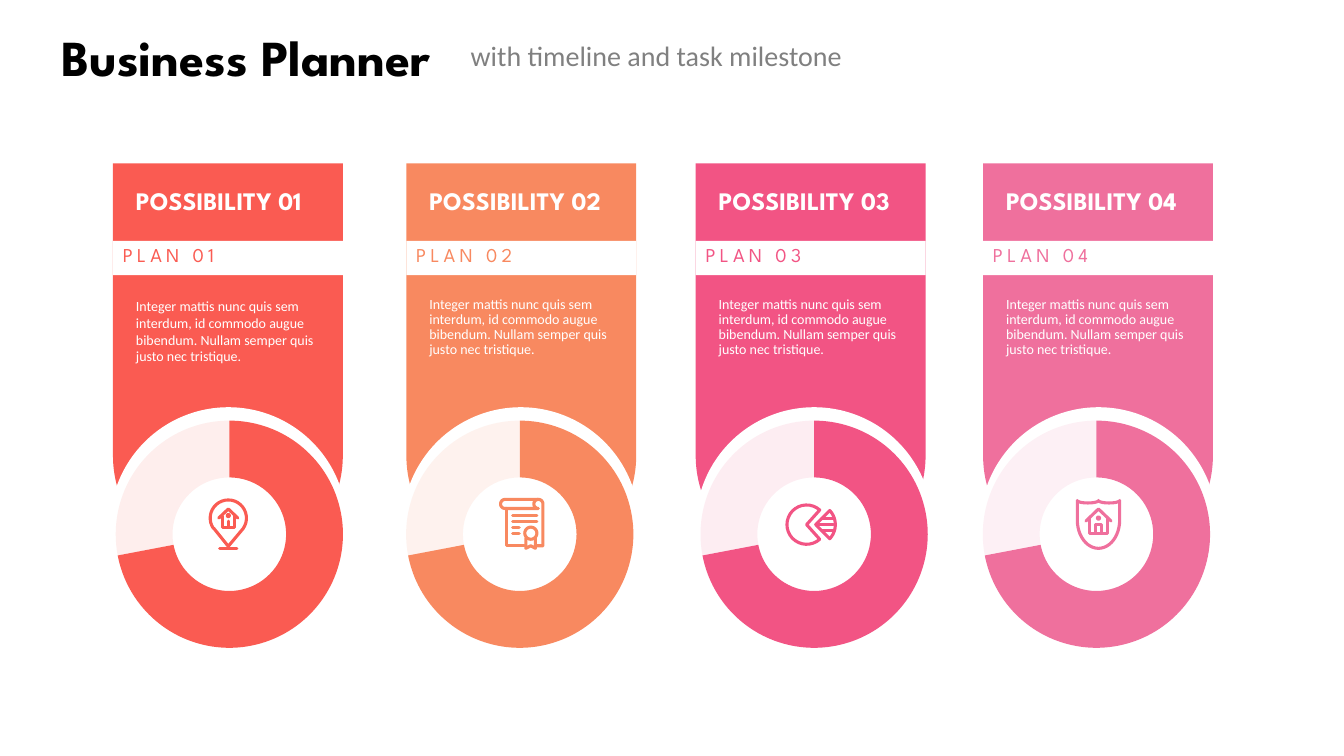
from math import cos, radians, sin

from lxml import etree
from pptx import Presentation
from pptx.chart.data import CategoryChartData
from pptx.dml.color import RGBColor
from pptx.enum.chart import XL_CHART_TYPE
from pptx.enum.shapes import MSO_SHAPE
from pptx.enum.text import MSO_ANCHOR, PP_ALIGN
from pptx.oxml.ns import qn
from pptx.util import Inches, Pt

DOUGHNUT = XL_CHART_TYPE.DOUGHNUT
RECTANGLE = MSO_SHAPE.RECTANGLE
ROUNDED_PANEL = MSO_SHAPE.ROUND_2_SAME_RECTANGLE
OVAL = MSO_SHAPE.OVAL
TOP, MIDDLE = MSO_ANCHOR.TOP, MSO_ANCHOR.MIDDLE
LEFT, CENTER = PP_ALIGN.LEFT, PP_ALIGN.CENTER

WHITE = "FFFFFF"
HEADING_FONT = "League Spartan"
BODY_FONT = "Calibri"
BODY = ("Integer mattis nunc quis sem interdum, id commodo augue bibendum. "
        "Nullam semper quis justo nec tristique.")


def color(value):
    return RGBColor.from_string(value)


def arc(x, y, radius_x, radius_y, start, end):
    steps = 24
    angles = [radians(start + (end - start) * i / steps) for i in range(steps + 1)]
    return [(x + radius_x * cos(a), y + radius_y * sin(a)) for a in angles]


def dot(x, y):
    return arc(x, y, 0.01, 0.01, 0, 360)


def write_text(shape, text, size, fill, font=BODY_FONT, bold=False, align=LEFT,
               anchor=MIDDLE, line_spacing=None, tracking=None):
    frame = shape.text_frame
    frame.word_wrap = True
    frame.vertical_anchor = anchor
    paragraph = frame.paragraphs[0]
    paragraph.alignment = align
    if line_spacing:
        paragraph.line_spacing = line_spacing
    run = paragraph.add_run()
    run.text = text
    run.font.name = font
    run.font.size = Pt(size)
    run.font.bold = bold
    run.font.color.rgb = color(fill)
    if tracking:
        run.font._element.set("spc", str(tracking * 100))


PIN = [
    arc(0.195, 0.2, 0.18, 0.18, 145, 395) + [(0.195, 0.48), (0.05, 0.3)],
    [(0.11, 0.5), (0.28, 0.5)],
    [(0.1, 0.2), (0.195, 0.11), (0.29, 0.2)],
    [(0.135, 0.18), (0.135, 0.295), (0.255, 0.295), (0.255, 0.18)],
    [(0.195, 0.23), (0.195, 0.28)],
    dot(0.195, 0.175),
]
CERTIFICATE = [
    arc(0.06, 0.06, 0.045, 0.045, 90, 270)
    + arc(0.39, 0.06, 0.045, 0.045, 270, 360) + [(0.435, 0.475), (0.37, 0.475)],
    [(0.25, 0.475), (0.075, 0.475), (0.075, 0.105)],
    [(0.06, 0.105)] + arc(0.39, 0.06, 0.045, 0.045, 90, 270),
    arc(0.315, 0.35, 0.06, 0.06, 0, 360),
    [(0.265, 0.4), (0.265, 0.5), (0.315, 0.475), (0.36, 0.5), (0.36, 0.4)],
    *[[(0.135, y), (x, y)]
      for y, x in ((0.175, 0.375), (0.235, 0.375), (0.295, 0.2), (0.355, 0.2))],
]
PIE = [
    arc(0.22, 0.265, 0.195, 0.195, 48, 312) + [(0.22, 0.265), (0.35, 0.41)],
    [(0.31, 0.265)] + arc(0.3, 0.265, 0.205, 0.205, -43, 43) + [(0.31, 0.265)],
    *[[(x, y), (0.485, y)] for x, y in ((0.37, 0.205), (0.31, 0.265), (0.37, 0.325))],
]
SHIELD = [
    arc(0.12, 0.025, 0.105, 0.025, 180, 0) + arc(0.33, 0.025, 0.105, 0.025, 180, 0)
    + arc(0.225, 0.22, 0.21, 0.28, 0, 180) + [(0.015, 0.025)],
    [(0.1, 0.23), (0.225, 0.11), (0.35, 0.23)],
    [(0.135, 0.2), (0.135, 0.355), (0.315, 0.355), (0.315, 0.2)],
    [(0.195, 0.35), (0.195, 0.265), (0.255, 0.265), (0.255, 0.35)],
    dot(0.225, 0.2),
]

CARDS = [
    (1.12, 1.09, 1.01, 2.07, "FA5B52", PIN),
    (4.03, 3.99, 3.89, 4.95, "F88960", CERTIFICATE),
    (6.9, 6.9, 6.81, 7.78, "F25484", PIE),
    (9.75, 9.72, 9.61, 10.67, "EF709D", SHIELD),
]


class PlannerSlide:
    def __init__(self, presentation):
        self.shapes = presentation.slides.add_slide(presentation.slide_layouts[6]).shapes

    def text(self, text, left, top, width, height, **style):
        box = self.shapes.add_textbox(*map(Inches, (left, top, width, height)))
        write_text(box, text, **style)

    def shape(self, kind, left, top, width, height, fill):
        shape = self.shapes.add_shape(kind, *map(Inches, (left, top, width, height)))
        shape.shadow.inherit = False
        shape.fill.solid()
        shape.fill.fore_color.rgb = color(fill)
        shape.line.fill.background()
        return shape

    def doughnut(self, left, top, width, height, fill):
        data = CategoryChartData()
        data.categories = ["1", "2"]
        data.add_series("Series 1", (72, 28))
        chart = self.shapes.add_chart(
            DOUGHNUT, *map(Inches, (left, top, width, height)), data).chart
        chart.has_legend = False
        chart.has_title = False
        chart.font.name = BODY_FONT
        chart.font.size = Pt(10)
        chart.font.color.rgb = color("000000")
        plot = chart.plots[0]
        plot.vary_by_categories = True
        plot._element.find(qn("c:holeSize")).set("val", "75")
        for index in range(2):
            point = plot.series[0].points[index].format
            point.fill.solid()
            point.fill.fore_color.rgb = color(fill)
            point.line.fill.background()
        tint = plot.series[0]._element.findall(".//" + qn("a:srgbClr"))[-1]
        etree.SubElement(tint, qn("a:alpha")).set("val", "10000")

    def icon(self, strokes, left, top, stroke_color):
        contours = [[(Inches(left + x), Inches(top + y)) for x, y in stroke]
                    for stroke in strokes]
        builder = self.shapes.build_freeform(*contours[0][0], scale=1.0)
        builder.add_line_segments(contours[0][1:], close=False)
        for contour in contours[1:]:
            builder.move_to(*contour[0])
            builder.add_line_segments(contour[1:], close=False)
        shape = builder.convert_to_shape()
        shape.shadow.inherit = False
        shape.fill.background()
        shape.line.color.rgb = color(stroke_color)
        shape.line.width = Pt(2.2)
        shape.line._get_or_add_ln().set("cap", "rnd")

    def card(self, number, left, ring_left, chart_left, icon_left, fill, strokes):
        panel = self.shape(ROUNDED_PANEL, left, 1.62, 2.28, 4.04, fill)
        panel.rotation = 180
        panel.adjustments[0] = 0.5
        panel.adjustments[1] = 0
        self.shape(OVAL, ring_left, 4.04, 2.35, 2.35, WHITE)
        self.doughnut(chart_left, 3.74, 2.53, 3.12, fill)
        self.icon(strokes, icon_left, 4.94, fill)
        self.text(f"POSSIBILITY {number:02}", left + 0.13, 1.77, 2.02, 0.44,
                  size=18, fill=WHITE, font=HEADING_FONT, bold=True)
        first = number == 1
        self.text(BODY, left + 0.13, 2.9, 2.02, 0.77, size=10, fill=WHITE,
                  anchor=MIDDLE if first else TOP, line_spacing=None if first else 0.9)
        band = self.shape(RECTANGLE, left, 2.39, 2.28, 0.34, WHITE)
        write_text(band, f"PLAN {number:02}", 14, fill, font=HEADING_FONT,
                   anchor=TOP, line_spacing=0.9, tracking=3)


def main():
    presentation = Presentation()
    presentation.slide_width = Inches(13.33)
    presentation.slide_height = Inches(7.5)
    planner = PlannerSlide(presentation)
    planner.text("Business Planner", 0.32, 0.26, 4.24, 0.6, size=36, fill="000000",
                 font=HEADING_FONT, bold=True, align=CENTER)
    planner.text("with timeline and task milestone", 4.57, 0.33, 4.7, 0.44,
                 size=20, fill="808080")
    for number, card in enumerate(CARDS, start=1):
        planner.card(number, *card)
    presentation.save("out.pptx")


if __name__ == "__main__":
    main()
